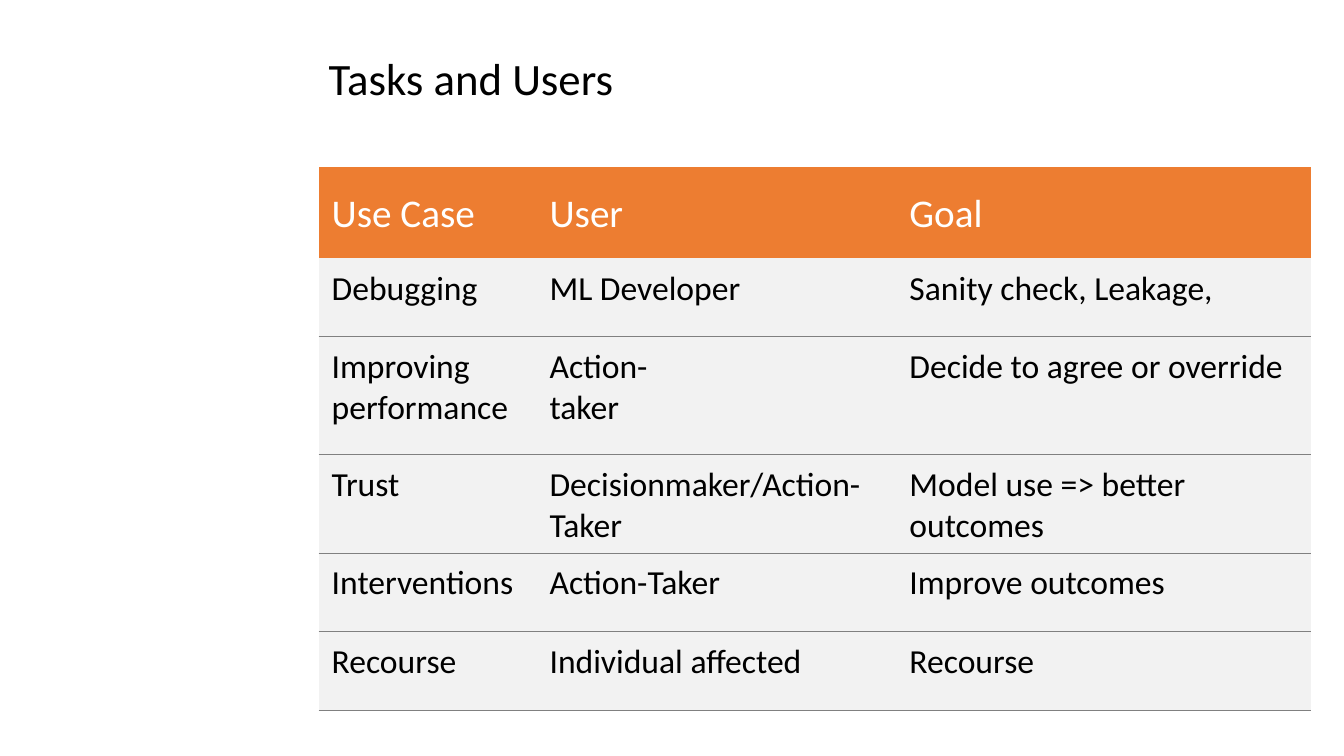
from pptx import Presentation
from pptx.dml.color import RGBColor
from pptx.enum.text import MSO_ANCHOR
from pptx.oxml import parse_xml
from pptx.oxml.ns import nsdecls
from pptx.util import Cm, Pt

TITLE = "Tasks and Users"
HEADER = ("Use Case", "User", "Goal")
USE_CASES = [
    ("Debugging", "ML Developer", "Sanity check, Leakage,"),
    ("Improving performance", "Action-\ntaker", "Decide to agree or override"),
    ("Trust", "Decisionmaker/Action-Taker", "Model use => better outcomes"),
    ("Interventions", "Action-Taker", "Improve outcomes"),
    ("Recourse", "Individual affected", "Recourse"),
]

FONT = "Calibri"
BLACK = RGBColor(0x00, 0x00, 0x00)
WHITE = RGBColor(0xFF, 0xFF, 0xFF)
ORANGE = RGBColor(0xED, 0x7D, 0x31)
LIGHT_GREY = RGBColor(0xF2, 0xF2, 0xF2)
RULE_GREY = RGBColor(0x80, 0x80, 0x80)

LEFT = Cm(8.03)
COLUMN_WIDTHS = [Cm(5.49), Cm(9.07), Cm(10.46)]
ROW_HEIGHTS = [Cm(2.31), Cm(1.98), Cm(2.97), Cm(1.98), Cm(1.98), Cm(1.98)]


def format_text(text_frame, size, color):
    for paragraph in text_frame.paragraphs:
        for run in paragraph.runs:
            run.font.name = FONT
            run.font.size = Pt(size)
            run.font.bold = False
            run.font.color.rgb = color


def set_borders(cell, ruled_sides):
    properties = cell._tc.get_or_add_tcPr()
    for index, side in enumerate("LRTB"):
        if side in ruled_sides:
            fill = f'<a:solidFill><a:srgbClr val="{RULE_GREY}"/></a:solidFill>'
        else:
            fill = "<a:noFill/>"
        border = f'<a:ln{side} {nsdecls("a")} w="{Pt(0.75)}">{fill}</a:ln{side}>'
        properties.insert(index, parse_xml(border))


def format_cell(cell, text, is_header, ruled_sides):
    cell.text_frame.text = text
    cell.margin_left = cell.margin_right = Cm(0.33)
    cell.margin_top, cell.margin_bottom = Cm(0.25), Cm(0.16)
    cell.vertical_anchor = MSO_ANCHOR.MIDDLE if is_header else MSO_ANCHOR.TOP
    cell.fill.solid()
    cell.fill.fore_color.rgb = ORANGE if is_header else LIGHT_GREY
    format_text(cell.text_frame, 28 if is_header else 24, WHITE if is_header else BLACK)
    set_borders(cell, ruled_sides)


presentation = Presentation()
presentation.slide_width, presentation.slide_height = Cm(33.87), Cm(19.05)
slide = presentation.slides.add_slide(presentation.slide_layouts[5])

title = slide.shapes.title
title.left, title.top, title.width, title.height = LEFT, Cm(0.2), Cm(29.21), Cm(3.68)
title.text_frame.text = TITLE
title.text_frame.vertical_anchor = MSO_ANCHOR.MIDDLE
title.text_frame.paragraphs[0].line_spacing = 0.9
title.text_frame.paragraphs[0].alignment = 1
format_text(title.text_frame, 32, BLACK)

rows = [HEADER, *USE_CASES]
table_frame = slide.shapes.add_table(
    len(rows), len(HEADER), LEFT, Cm(4.2), sum(COLUMN_WIDTHS), sum(ROW_HEIGHTS)
)
table = table_frame.table
table.horz_banding = False
for column, width in zip(table.columns, COLUMN_WIDTHS):
    column.width = width
for row_index, (row, height, texts) in enumerate(zip(table.rows, ROW_HEIGHTS, rows)):
    row.height = height
    ruled_sides = ("", "B")[row_index] if row_index < 2 else "TB"
    for cell, text in zip(row.cells, texts):
        format_cell(cell, text, row_index == 0, ruled_sides)

presentation.save("out.pptx")
